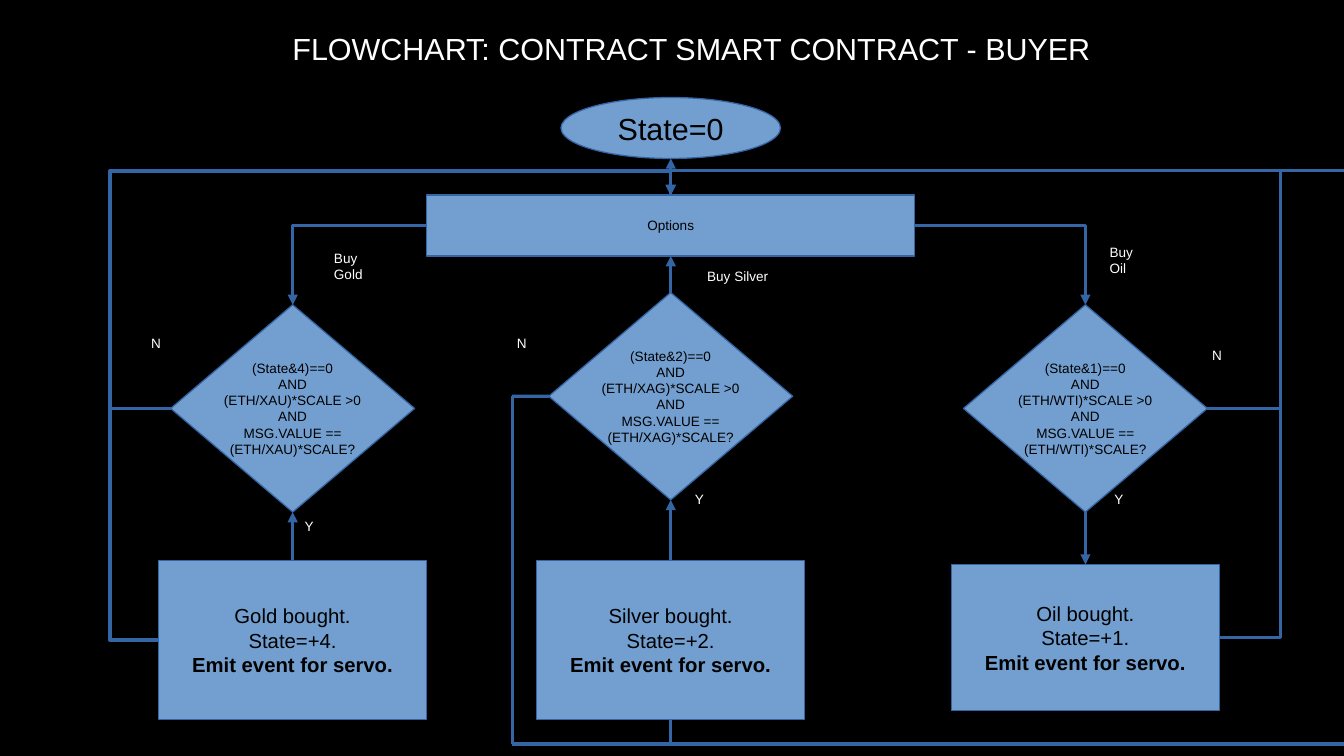
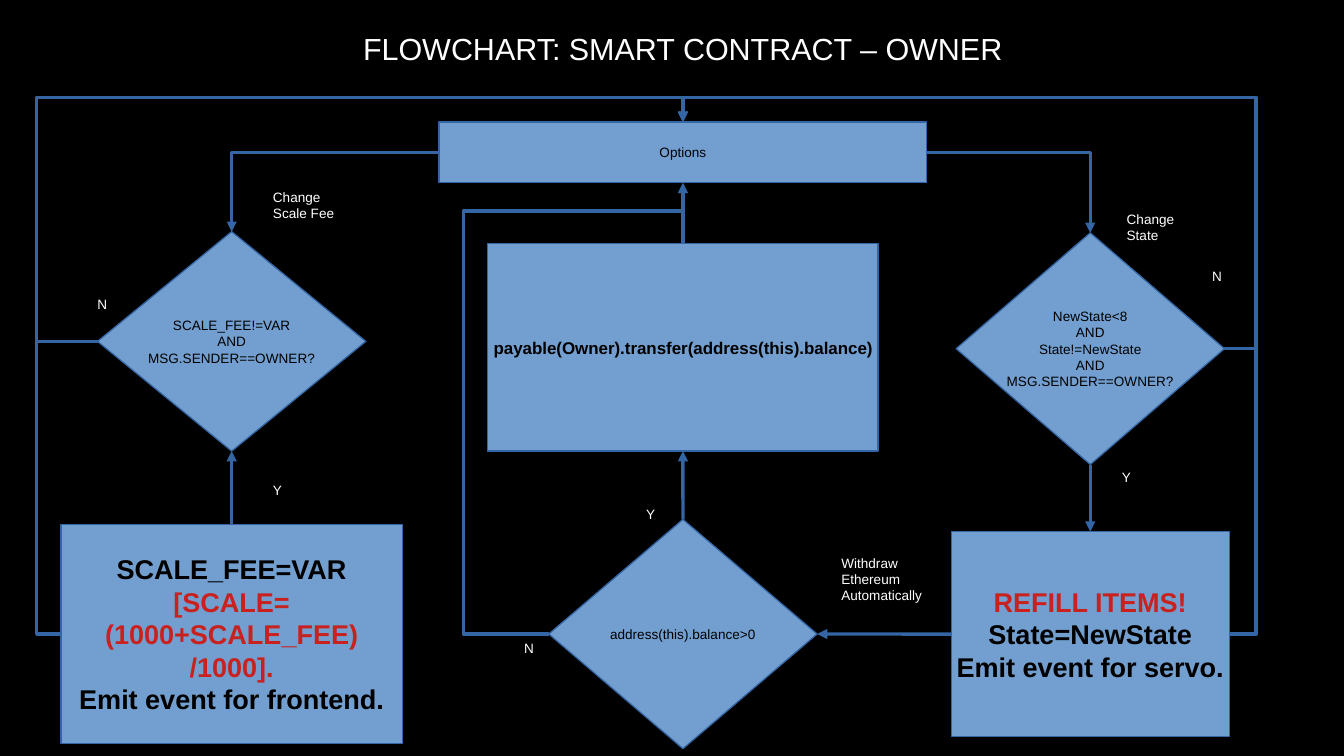
from collections import namedtuple
from dataclasses import dataclass

from lxml.etree import SubElement
from pptx import Presentation
from pptx.dml.color import RGBColor
from pptx.enum.shapes import MSO_CONNECTOR, MSO_SHAPE
from pptx.enum.text import MSO_ANCHOR, PP_ALIGN
from pptx.oxml.ns import qn
from pptx.util import Cm, Pt

GRID = 2.54  # centimetres in one layout unit
SLIDE_WIDTH, SLIDE_HEIGHT = 11.02, 6.2
TOP, LEFT, BOTTOM, RIGHT = range(4)
BOLD = {"bold": True}

Port = namedtuple("Port", "node side")


@dataclass(frozen=True)
class Theme:
    font: str = "Arial"
    background: str = "000000"
    light: str = "FFFFFF"
    dark: str = "000000"
    alert: str = "C9211E"
    node: str = "729FCF"
    line: str = "3465A4"
    title: int = 18
    action: int = 16
    result: int = 12
    code: int = 10
    small: int = 8


THEME = Theme()
ALERT = {"bold": True, "color": THEME.alert}


def units(*values):
    return [Cm(GRID * value) for value in values]


def format_font(font, values):
    for name, value in values.items():
        if name == "color":
            font.color.rgb = RGBColor.from_string(value)
        else:
            setattr(font, name, value)


class Flowchart:
    def __init__(self, deck, theme):
        self.deck = deck
        self.theme = theme
        self.slide = None

    def start_slide(self):
        self.slide = self.deck.slides.add_slide(self.deck.slide_layouts[6])
        fill = self.slide.background.fill
        fill.solid()
        fill.fore_color.rgb = RGBColor.from_string(self.theme.background)

    def set_lines(self, frame, lines, size, color, align):
        """Fill a frame; a line is a string or a (string, font values) pair."""
        for number, line in enumerate(lines):
            wording, extra = (line, {}) if isinstance(line, str) else line
            paragraph = frame.paragraphs[0] if number == 0 else frame.add_paragraph()
            paragraph.alignment = align
            run = paragraph.add_run()
            run.text = wording
            format_font(run.font, {"name": self.theme.font, "size": Pt(size),
                                   "color": color, **extra})

    def label(self, left, top, *lines, width=0.46, height=0.22, size=THEME.small,
              align=PP_ALIGN.LEFT):
        frame = self.slide.shapes.add_textbox(*units(left, top, width, height)).text_frame
        frame.word_wrap = True
        self.set_lines(frame, lines, size, self.theme.light, align)

    def title(self, wording, left, width, align):
        self.label(left, 0.2, wording, width=width, height=0.66,
                   size=self.theme.title, align=align)

    def node(self, kind, center, top, width, height, *lines, size=THEME.small):
        """Add a filled step centred on a column."""
        step = self.slide.shapes.add_shape(
            kind, *units(center - width / 2, top, width, height))
        step.shadow.inherit = False
        step.fill.solid()
        step.fill.fore_color.rgb = RGBColor.from_string(self.theme.node)
        step.line.color.rgb = RGBColor.from_string(self.theme.line)
        step.line.width = 0
        frame = step.text_frame
        frame.word_wrap = False
        frame.vertical_anchor = MSO_ANCHOR.MIDDLE
        self.set_lines(frame, lines, size, self.theme.dark, PP_ALIGN.CENTER)
        return step

    def box(self, *place_and_lines, **options):
        return self.node(MSO_SHAPE.RECTANGLE, *place_and_lines, **options)

    def decision(self, *place_and_lines):
        return self.node(MSO_SHAPE.DIAMOND, *place_and_lines)

    def link(self, begin, end, arrow=True, kind=MSO_CONNECTOR.STRAIGHT):
        """Join two ends, each a Port or an (x, y) point."""
        points = [(0, 0) if isinstance(stop, Port) else stop for stop in (begin, end)]
        link = self.slide.shapes.add_connector(kind, *units(*points[0], *points[1]))
        if isinstance(begin, Port):
            link.begin_connect(*begin)
        if isinstance(end, Port):
            link.end_connect(*end)
        link.line.color.rgb = RGBColor.from_string(self.theme.line)
        link.line.width = 0
        properties = link.element.spPr
        if arrow:
            SubElement(properties.find(qn("a:ln")), qn("a:tailEnd"), type="triangle")
        SubElement(properties, qn("a:effectLst"))
        return link

    def elbow(self, begin, end, lanes=None):
        """Leave sideways and arrive vertically, through (x, y) lanes if given."""
        link = self.link(begin, end, kind=MSO_CONNECTOR.ELBOW)
        geometry = link.element.spPr.find(qn("a:prstGeom"))
        geometry.set("prst", "bentConnector4" if lanes else "bentConnector2")
        if lanes:
            lane_x, lane_y = units(*lanes)
            shares = ((lane_x - link.begin_x) / (link.end_x - link.begin_x),
                      (lane_y - link.begin_y) / (link.end_y - link.begin_y))
            for number, share in enumerate(shares, 1):
                SubElement(geometry.find(qn("a:avLst")), qn("a:gd"),
                           name=f"adj{number}", fmla=f"val {round(share * 100000)}")
        if begin.side == LEFT:
            frame = link.element.spPr.find(qn("a:xfrm"))
            frame.set("rot", "10800000")
            frame.flipH, frame.flipV = not frame.flipH, not frame.flipV

    def rail(self, *points):
        for begin, end in zip(points, points[1:]):
            self.link(begin, end, arrow=False)


def buyer_slide(chart):
    chart.start_slide()
    chart.title("FLOWCHART: CONTRACT SMART CONTRACT - BUYER", 2.3, 7.9, PP_ALIGN.LEFT)
    middle, return_y, loop_y = 5.5, 1.4, 6.1
    chart.node(MSO_SHAPE.OVAL, middle, 0.8, 1.8, 0.5, "State=0", size=THEME.title)
    options = chart.box(middle, 1.6, 4, 0.5, "Options")

    checks, purchases = [], []
    for item, bit, pair, center, check_top, top, height in (
            ("Gold", 4, "XAU", 2.4, 2.5, 4.6, 1.3),
            ("Silver", 2, "XAG", middle, 2.4, 4.6, 1.3),
            ("Oil", 1, "WTI", 8.9, 2.5, 4.63, 1.2)):
        checks.append(chart.decision(
            center, check_top, 2, 1.7, f"(State&{bit})==0", "AND",
            f"(ETH/{pair})*SCALE >0", "AND", "MSG.VALUE ==", f"(ETH/{pair})*SCALE?"))
        purchases.append(chart.box(
            center, top, 2.2, height, f"{item} bought.", f"State=+{bit}.",
            ("Emit event for servo.", BOLD), size=THEME.result))
    gold, silver, oil = checks

    chart.link(Port(options, TOP), (middle, 1.3))
    chart.link(Port(silver, TOP), Port(options, BOTTOM))
    for check, purchase in zip(checks[:2], purchases):
        chart.link(Port(purchase, TOP), Port(check, BOTTOM))
    chart.link(Port(oil, BOTTOM), Port(purchases[2], TOP))
    for check, purchase, side, lane in ((gold, purchases[0], LEFT, 0.9),
                                        (oil, purchases[2], RIGHT, 10.5)):
        chart.elbow(Port(options, side), Port(check, TOP))
        for step in (check, purchase):
            chart.elbow(Port(step, side), Port(options, TOP), (lane, return_y))

    chart.rail(Port(silver, LEFT), (4.2, 3.25), (4.2, loop_y), (SLIDE_WIDTH, loop_y))
    chart.rail(Port(purchases[1], BOTTOM), (middle, loop_y))
    chart.rail((10.5, return_y), (SLIDE_WIDTH, return_y))

    for answer, left, top in (("Y", 2.4, 4.2), ("Y", 5.6, 3.98), ("Y", 9.04, 3.98),
                              ("N", 1.14, 2.7), ("N", 4.14, 2.7), ("N", 9.84, 2.8)):
        chart.label(left, top, answer)
    chart.label(2.64, 2, "Buy Gold", height=0.6)
    chart.label(5.7, 2.15, "Buy Silver", width=0.8, height=0.35)
    chart.label(9, 1.95, "Buy", "Oil", width=0.7, height=0.35)


def owner_slide(chart):
    chart.start_slide()
    chart.title("FLOWCHART: SMART CONTRACT – OWNER", 0.4, 10.4, PP_ALIGN.CENTER)
    middle, fee_x, state_x, return_y = 5.6, 1.9, 8.94, 0.8
    sender = "MSG.SENDER==OWNER?"
    options = chart.box(middle, 1, 4, 0.5, "Options")
    set_fee = chart.box(
        fee_x, 4.3, 2.8, 1.8, ("SCALE_FEE=VAR", BOLD), ("[SCALE=", ALERT),
        ("(1000+SCALE_FEE)", ALERT), ("/1000].", ALERT),
        ("Emit event for frontend.", BOLD), size=THEME.action)
    transfer = chart.box(
        middle, 2, 3.2, 1.7,
        ("payable(Owner).transfer(address(this).balance)", BOLD), size=THEME.code)
    refill = chart.box(
        state_x, 4.36, 2.28, 1.68, ("REFILL ITEMS!", ALERT), ("State=NewState", BOLD),
        ("Emit event for servo.", BOLD), size=THEME.action)
    fee_check = chart.decision(fee_x, 1.9, 2.2, 1.8, "SCALE_FEE!=VAR", "AND", sender)
    balance_check = chart.decision(middle, 4.26, 2.2, 1.88, "address(this).balance>0")
    state_check = chart.decision(state_x, 1.91, 2.2, 1.9, "NewState<8", "AND",
                                 "State!=NewState", "AND", sender)

    for begin, end in (((set_fee, TOP), (fee_check, BOTTOM)),
                       ((state_check, BOTTOM), (refill, TOP)),
                       ((refill, LEFT), (balance_check, RIGHT)),
                       ((balance_check, TOP), (transfer, BOTTOM)),
                       ((transfer, TOP), (options, BOTTOM))):
        chart.link(Port(*begin), Port(*end))
    for check, action, side, lane in ((fee_check, set_fee, LEFT, 0.3),
                                      (state_check, refill, RIGHT, 10.3)):
        chart.elbow(Port(options, side), Port(check, TOP))
        for step in (check, action):
            chart.elbow(Port(step, side), Port(options, TOP), (lane, return_y))
    chart.elbow(Port(balance_check, LEFT), Port(options, BOTTOM), (3.8, 1.73))

    for answer, left, top in (("Y", 5.2, 4.1), ("Y", 2.14, 3.9), ("Y", 9.1, 3.8),
                              ("N", 0.7, 2.38), ("N", 4.2, 5.2), ("N", 9.84, 2.15)):
        chart.label(left, top, answer)
    chart.label(2.14, 1.5, "Change Scale Fee", width=0.86, height=0.47)
    chart.label(6.8, 4.5, "Withdraw Ethereum Automatically", width=1, height=0.6)
    chart.label(9.14, 1.68, "Change", "State", width=0.86, height=0.47)


def main():
    deck = Presentation()
    deck.slide_width, deck.slide_height = units(SLIDE_WIDTH, SLIDE_HEIGHT)
    chart = Flowchart(deck, THEME)
    buyer_slide(chart)
    owner_slide(chart)
    deck.save("out.pptx")


if __name__ == "__main__":
    main()
